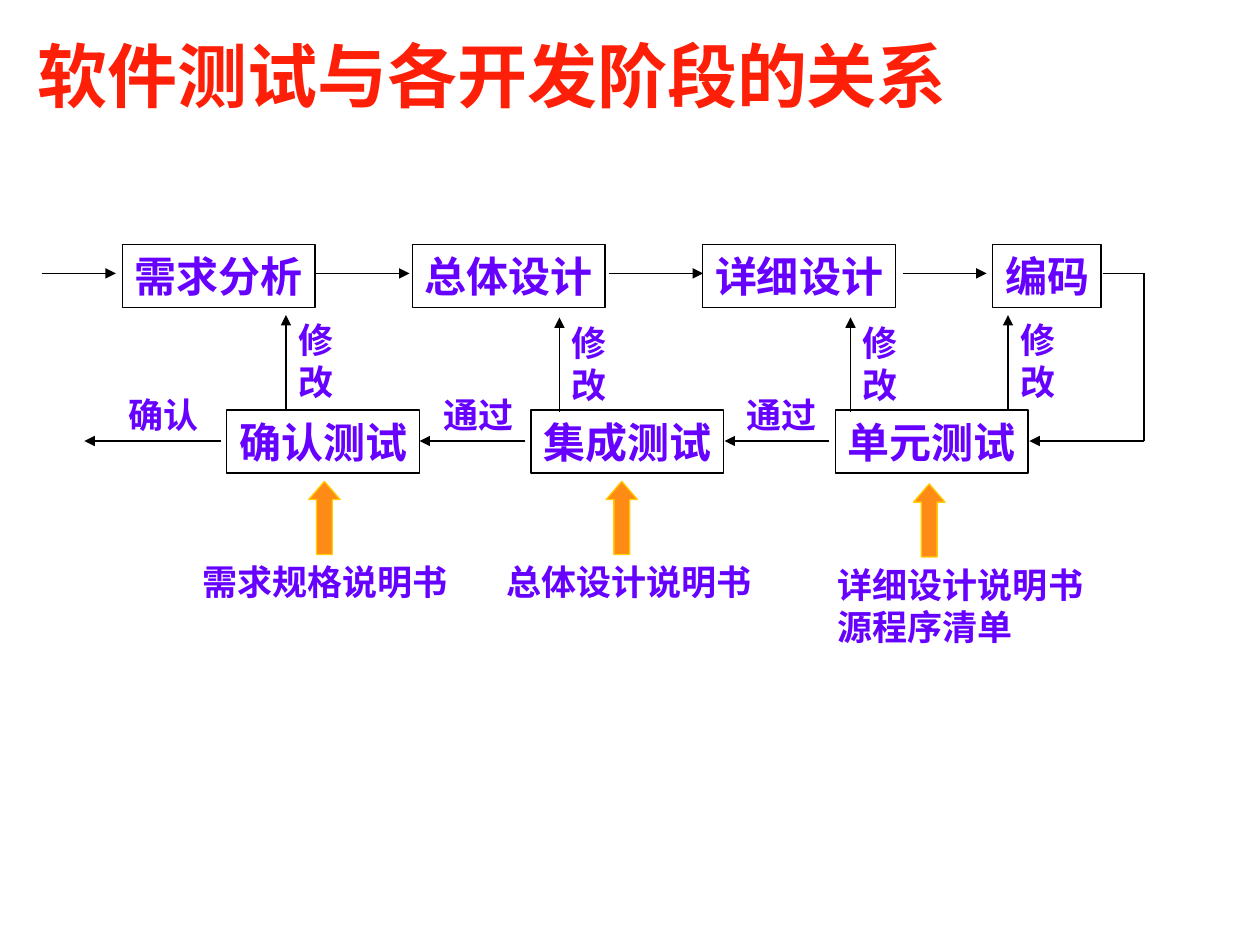
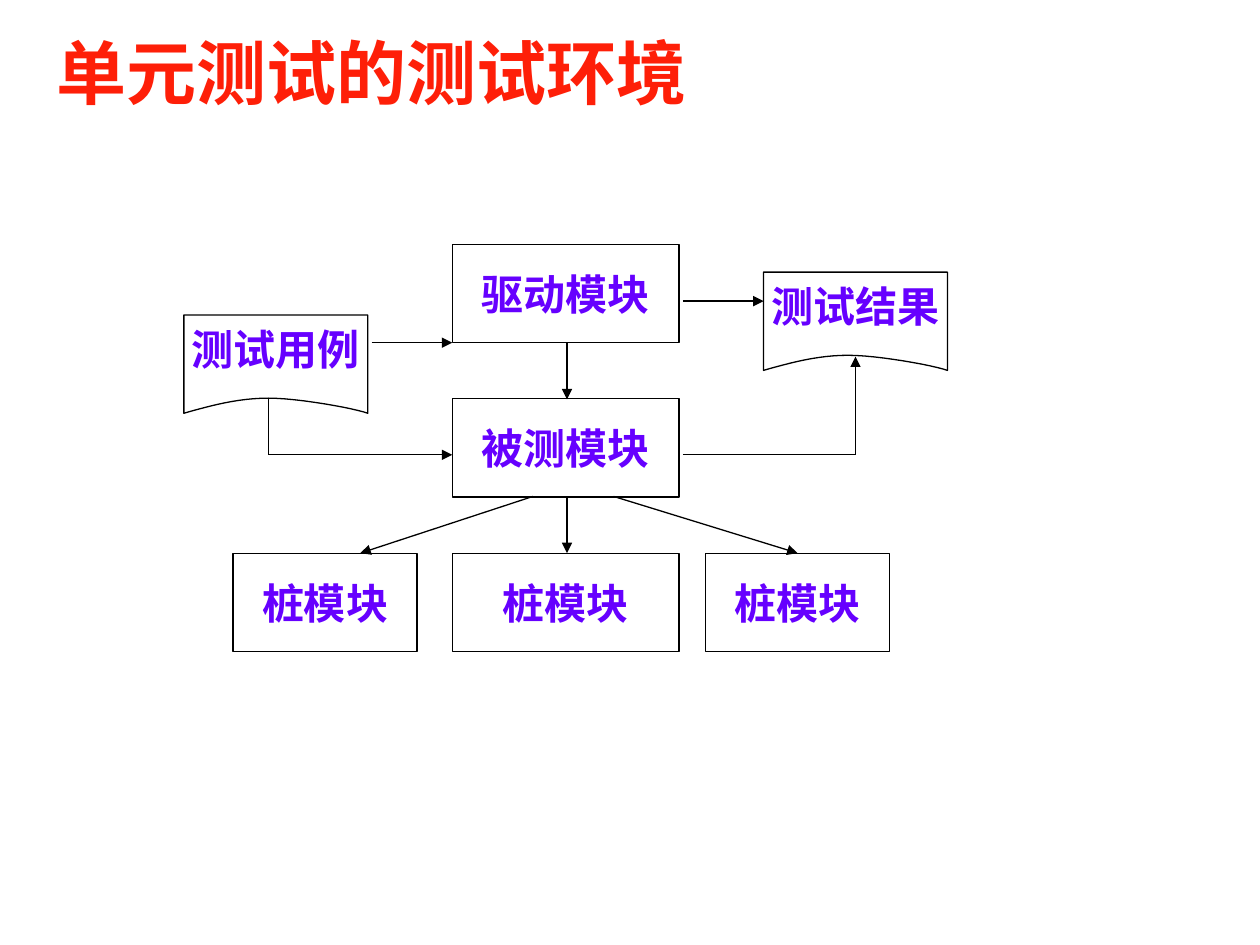
from lxml import etree
from pptx import Presentation
from pptx import util as u
from pptx.dml.color import RGBColor
from pptx.enum import shapes, text
from pptx.oxml import ns

PX = 9144  # EMU per px, 100 px to the inch

RED = RGBColor(0xFE, 0x1F, 0x08)
VIOLET = RGBColor(0x66, 0x00, 0xFF)
BLACK = RGBColor(0x00, 0x00, 0x00)
ORANGE = RGBColor(0xFF, 0x8B, 0x17)
GOLD = RGBColor(0xFF, 0xCC, 0x00)

TITLE_FONT, BODY_FONT = "Montserrat", "Arial"
TITLE_SIZE, BOX_SIZE, LABEL_SIZE = 40, 24, 20


def px(*lengths):
    return [u.Emu(round(length * PX)) for length in lengths]


def curve(start, first, second, end, steps=12):
    """Points along a cubic curve, without its start."""
    points = []
    for step in range(1, steps + 1):
        t = step / steps
        weights = ((1 - t) ** 3, 3 * t * (1 - t) ** 2, 3 * t * t * (1 - t), t ** 3)
        corners = list(zip(start, first, second, end))
        points.append(tuple(sum(w * c for w, c in zip(weights, axis)) for axis in corners))
    return points


class Diagram:
    """Holds the deck, the current page and the shared style."""

    def __init__(self):
        self.deck = Presentation()
        self.deck.slide_width, self.deck.slide_height = px(1000, 750)
        self.page = None

    def new_page(self, title, left, top, width, height):
        self.page = self.deck.slides.add_slide(self.deck.slide_layouts[5])
        box = self.page.shapes.title
        box.left, box.top, box.width, box.height = px(left, top, width, height)
        self.set_text(box, [title], TITLE_SIZE, RED, TITLE_FONT, middle=True)

    def set_text(self, box, lines, size, color=VIOLET, font=BODY_FONT,
                 centred=False, middle=False, wrap=True):
        frame = box.text_frame
        frame.word_wrap = wrap
        frame.auto_size = text.MSO_AUTO_SIZE.NONE
        frame.vertical_anchor = text.MSO_ANCHOR.MIDDLE if middle else text.MSO_ANCHOR.TOP
        frame.text = "\n".join(lines)
        for para in frame.paragraphs:
            para.alignment = text.PP_ALIGN.CENTER if centred else text.PP_ALIGN.LEFT
            para.font.name = font
            para.font.size = u.Pt(size)
            para.font.bold = True
            para.font.color.rgb = color

    def outline(self, shape, color=BLACK, fill=None):
        shape.shadow.inherit = False
        shape.line.color.rgb = color
        shape.line.width = u.Pt(0.75)
        if fill is None:
            shape.fill.background()
        else:
            shape.fill.solid()
            shape.fill.fore_color.rgb = fill

    def box(self, words, left, top, width, height, centred=False):
        box = self.page.shapes.add_shape(
            shapes.MSO_SHAPE.RECTANGLE, *px(left, top, width, height))
        self.outline(box)
        self.set_text(box, [words], BOX_SIZE, centred=centred, middle=centred, wrap=False)

    def label(self, lines, left, top, width, height, size=LABEL_SIZE, centred=False):
        box = self.page.shapes.add_textbox(*px(left, top, width, height))
        self.set_text(box, lines, size, centred=centred, wrap=False)

    def route(self, *points):
        """Straight lines through the points, with an arrowhead at the end."""
        for start, end in zip(points, points[1:]):
            line = self.page.shapes.add_connector(
                shapes.MSO_CONNECTOR.STRAIGHT, *px(*start, *end))
            line.line.color.rgb = BLACK
            line.line.width = u.Pt(0.75)
            props = line._element.spPr
            etree.SubElement(props, ns.qn("a:effectLst"))
        etree.SubElement(props.find(ns.qn("a:ln")), ns.qn("a:tailEnd"), type="triangle")

    def up_arrow(self, left, top):
        arrow = self.page.shapes.add_shape(
            shapes.MSO_SHAPE.UP_ARROW, *px(left, top, 25, 58))
        arrow.adjustments[0], arrow.adjustments[1] = 0.5, 0.58
        self.outline(arrow, GOLD, ORANGE)

    def sheet(self, words, left, top):
        """A page of paper with a curved lower edge."""
        edge = curve((0, 78), (21, 72), (43, 66), (67, 66))
        edge += curve((67, 66), (91, 66), (135, 74), (146, 78))
        points = [px(left + x, top + y) for x, y in edge + [(146, 0), (0, 0)]]
        builder = self.page.shapes.build_freeform(*px(left, top + 78))
        builder.add_line_segments(points, close=True)
        self.outline(builder.convert_to_shape())
        self.label([words], left, top + 2, 146, 50, BOX_SIZE, centred=True)


def build_stages(diagram):
    diagram.new_page("软件测试与各开发阶段的关系", 20, 28, 929, 63)

    # Development phases and tests
    for column, phase in enumerate(("需求分析", "总体设计", "详细设计", "编码")):
        diagram.box(phase, 97 + 230.33 * column, 194, 86 if phase == "编码" else 153, 50)
    for column, test in enumerate(("确认测试", "集成测试", "单元测试")):
        diagram.box(test, 180 + 241.5 * column, 325.5, 153, 50)

    # Forward flow, then back through the tests
    for start, end in ((33, 92), (250, 325), (483, 558), (717, 783)):
        diagram.route((start, 217), (end, 217))
    diagram.route((875, 217), (908, 217), (908, 350), (817, 350))
    for start, end in ((658, 575), (417, 333), (175, 67)):
        diagram.route((start, 350), (end, 350))
    for words, left in (("确认", 92), ("通过", 342), ("通过", 583)):
        diagram.label([words], left, 307, 75, 44)

    # Corrections
    for left, top in ((227, 248), (444, 250), (675, 250), (800, 248)):
        diagram.route((left, top + 77), (left, top + 2))
        diagram.label(["修", "改"], left, top, 48, 77)

    # Documents that feed each test
    documents = (
        (["需求规格说明书"], 151, 440, 245),
        (["总体设计说明书"], 392, 440, 481),
        (["详细设计说明书", "源程序清单"], 655, 442, 725),
    )
    for lines, left, top, arrow_left in documents:
        diagram.label(lines, left, top, 215, 11 + 33 * len(lines))
        diagram.up_arrow(arrow_left, top - 58)


def build_environment(diagram):
    diagram.new_page("单元测试的测试环境", 35, 21, 913, 71)

    # Modules
    for row, module in enumerate(("驱动模块", "被测模块", "桩模块")):
        diagram.box(module, 359, 194 + 122.5 * row, 180, 78, centred=True)
    for left in (185, 560):
        diagram.box("桩模块", left, 439, 146, 78, centred=True)

    # Test data
    diagram.sheet("测试用例", 146, 250)
    diagram.sheet("测试结果", 606, 216)

    # Flow
    diagram.route((295, 272), (359, 272))
    diagram.route((542, 239), (606, 239))
    diagram.route((213, 317), (213, 361), (359, 361))
    diagram.route((542, 361), (679, 361), (679, 283))
    diagram.route((450, 272), (450, 317))
    for start, end in ((423, 286), (450, 450), (487, 633)):
        diagram.route((start, 394), (end, 439))


def main():
    diagram = Diagram()
    build_stages(diagram)
    build_environment(diagram)
    diagram.deck.save("out.pptx")


if __name__ == "__main__":
    main()
